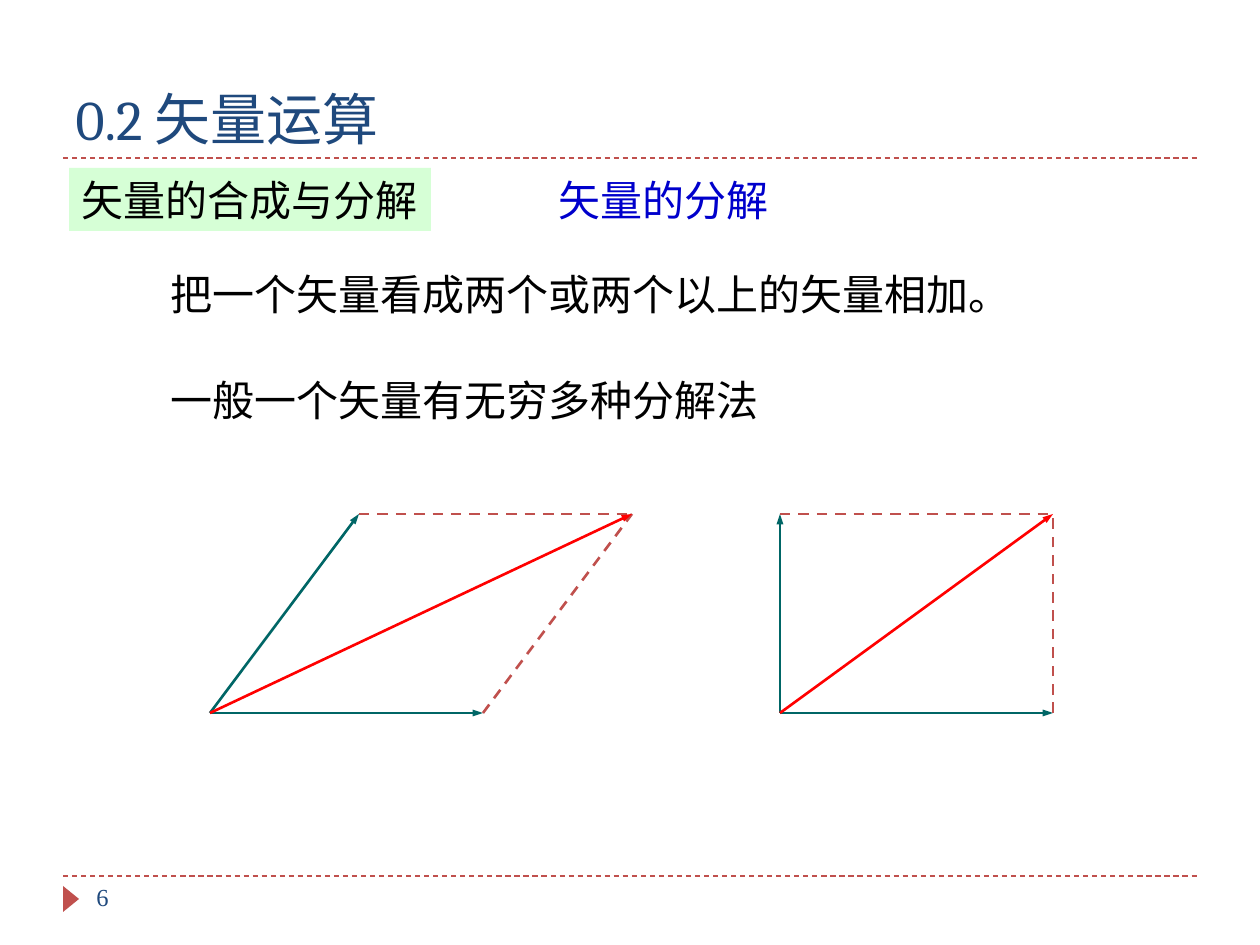
from lxml import etree
from pptx import Presentation, util as u
from pptx.dml.color import RGBColor
from pptx.enum import dml, shapes, text
from pptx.oxml.ns import qn

PX = 914400 / 126
NAVY, RED, TEAL, BRICK, BLACK = "1F497D", "FF0000", "006666", "C0504D", "000000"

TITLE = ("0.2 矢量运算", (63, 32, 1134, 126))
HEADING = ("矢量的合成与分解", (69, 168, 362, 63))
LABELS = [
    ("矢量的分解", (546, 168, 236, 63), "0000CC"),
    ("把一个矢量看成两个或两个以上的矢量相加。", (158, 262, 876, 63), BLACK),
    ("一般一个矢量有无穷多种分解法", (158, 368, 614, 63), BLACK),
]
PAGE_NUMBER = ("6", (84, 876, 273, 50))
RULES = [876, 158]
DIAGRAMS = [
    {"origin": (210, 713), "base": (273, 0), "side": (149, -199)},
    {"origin": (780, 713), "base": (273, 0), "side": (0, -199)},
]


def px(*lengths):
    return [u.Emu(round(length * PX)) for length in lengths]


def color(value):
    return RGBColor.from_string(value)


def write(box, words, size=24, font="Times New Roman", ink=BLACK,
          anchor=text.MSO_ANCHOR.TOP, wrap=False):
    frame = box.text_frame
    frame.word_wrap = wrap
    frame.vertical_anchor = anchor
    para = frame.paragraphs[0]
    para.alignment = text.PP_ALIGN.LEFT
    span = para.add_run()
    span.text = words
    span.font.size = u.Pt(size)
    span.font.name = font
    span.font.color.rgb = color(ink)


def draw_line(parent, start, end, ink, width=1.5, dashed=False, arrow=False):
    line = parent.add_connector(shapes.MSO_CONNECTOR.STRAIGHT, *px(*start, *end))
    line.line.color.rgb = color(ink)
    line.line.width = u.Pt(width)
    if dashed:
        line.line.dash_style = dml.MSO_LINE.DASH
    if arrow:
        etree.SubElement(line.line._get_or_add_ln(), qn("a:tailEnd"),
                         type="triangle", w="sm", len="med")
    etree.SubElement(line._element.spPr, qn("a:effectLst"))


def add_filled(page, kind, place, fill):
    shape = page.shapes.add_shape(kind, *px(*place))
    shape.shadow.inherit = False
    shape.fill.solid()
    shape.fill.fore_color.rgb = color(fill)
    shape.line.fill.background()
    return shape


def draw_diagram(page, origin, base, side):
    def shift(point, step):
        return point[0] + step[0], point[1] + step[1]

    group = page.shapes.add_group_shape().shapes
    right, top = shift(origin, base), shift(origin, side)
    corner = shift(right, side)
    for end in (right, top):
        draw_line(group, origin, end, TEAL, arrow=True)
    for start in (right, top):
        draw_line(group, start, corner, BRICK, dashed=True)
    draw_line(group, origin, corner, RED, arrow=True)


def main():
    deck = Presentation()
    deck.slide_width, deck.slide_height = px(1260, 945)
    page = deck.slides.add_slide(deck.slide_layouts[5])

    for y in RULES:
        draw_line(page.shapes, (63, y), (1197, y), BRICK, width=0.75, dashed=True)
    marker = add_filled(page, shapes.MSO_SHAPE.ISOSCELES_TRIANGLE, (58, 891, 26, 16), BRICK)
    marker.rotation = 90

    words, place = TITLE
    title = page.shapes.title
    title.left, title.top, title.width, title.height = px(*place)
    write(title, words, size=32, font="Cambria", ink=NAVY,
          anchor=text.MSO_ANCHOR.BOTTOM, wrap=True)

    words, place = PAGE_NUMBER
    write(page.shapes.add_textbox(*px(*place)), words, size=14, ink=NAVY, wrap=True)

    words, place = HEADING
    heading = add_filled(page, shapes.MSO_SHAPE.RECTANGLE, place, "CCFFCC")
    tint = heading._element.spPr.find(qn("a:solidFill"))[0]
    etree.SubElement(tint, qn("a:alpha"), val="80000")
    write(heading, words, anchor=text.MSO_ANCHOR.MIDDLE)

    for words, place, ink in LABELS:
        write(page.shapes.add_textbox(*px(*place)), words, ink=ink)
    for diagram in DIAGRAMS:
        draw_diagram(page, **diagram)

    deck.save("out.pptx")


if __name__ == "__main__":
    main()
